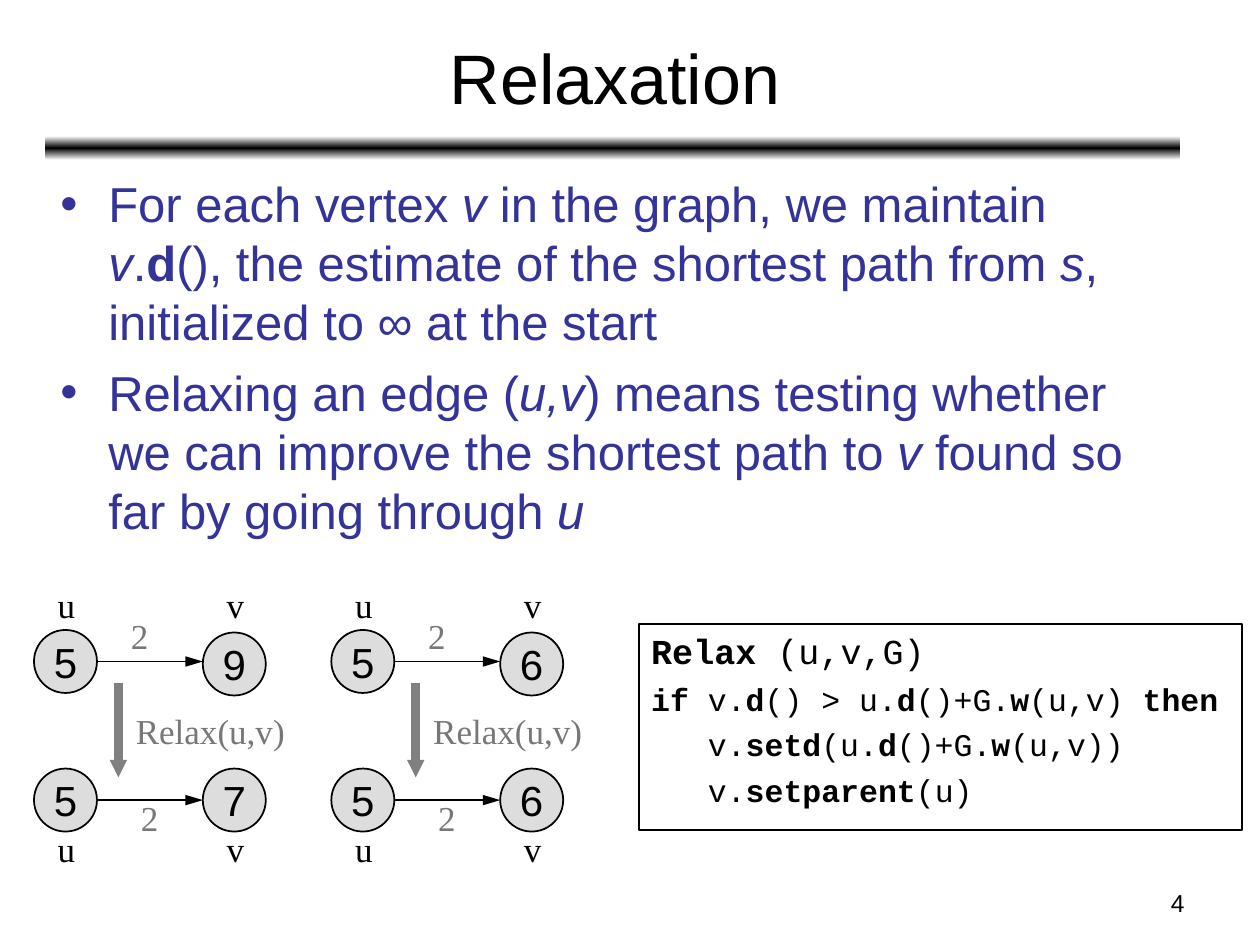
from lxml.etree import SubElement
from pptx import Presentation
from pptx.dml.color import RGBColor
from pptx.enum.shapes import MSO_CONNECTOR as Connector, MSO_SHAPE as Shape
from pptx.enum.text import MSO_ANCHOR as Anchor, MSO_AUTO_SIZE as AutoSize, PP_ALIGN as Align
from pptx.oxml.ns import qn
from pptx.util import Inches, Pt

BLACK, GREY, BLUE = "000000", "777777", "333399"
SANS, SERIF, MONO = "Arial", "Times New Roman", "Courier New"


def write(frame, lines, size, font, color, wrap=True, anchor=Anchor.TOP, **paragraph_format):
    """Fill a text frame; *marks* set italics and _marks_ set bold."""
    for name, value in {"word_wrap": wrap, "auto_size": AutoSize.NONE,
                        "vertical_anchor": anchor}.items():
        setattr(frame, name, value)
    for index, line in enumerate(lines):
        paragraph = frame.add_paragraph() if index else frame.paragraphs[0]
        for name, value in paragraph_format.items():
            setattr(paragraph, name, value)
        for i, part in enumerate(line.split("*")):
            for j, words in enumerate(part.split("_")):
                if words:
                    run = paragraph.add_run()
                    run.text = words
                    run.font.color.rgb = RGBColor.from_string(color)
                    for name, value in {"size": Pt(size), "name": font,
                                        "italic": i % 2 == 1, "bold": j % 2 == 1}.items():
                        setattr(run.font, name, value)


def add_arrow(start, end, color, width, head_width, head_length):
    arrow = slide.shapes.add_connector(Connector.STRAIGHT, *map(Inches, start + end))
    arrow.line.color.rgb = RGBColor.from_string(color)
    arrow.line.width = Pt(width)
    SubElement(arrow.line._get_or_add_ln(), qn("a:tailEnd"),
               type="triangle", w=head_width, len=head_length)
    SubElement(arrow._element.spPr, qn("a:effectLst"))


presentation = Presentation()
presentation.slide_width, presentation.slide_height = Inches(10), Inches(7.5)
slide = presentation.slides.add_slide(presentation.slide_layouts[1])
title, body = slide.placeholders

# Title, rule and bullets
for placeholder, top, height in ((title, 0.11, 0.99), (body, 1.33, 3.28)):
    for name, value in {"left": 0.38, "top": top, "width": 9, "height": height}.items():
        setattr(placeholder, name, Inches(value))
write(title.text_frame, ["Relaxation"], 40, SANS, BLACK, anchor=Anchor.MIDDLE,
      alignment=Align.CENTER)

rule = slide.shapes.add_shape(Shape.ROUNDED_RECTANGLE, *map(Inches, (0.36, 1.08, 9.01, 0.19)))
rule.shadow.inherit = False
rule.line.fill.background()
rule.fill.gradient()
rule.fill.gradient_angle = 90
stops = rule.fill._fill._gradFill.gsLst
stops.clear()
for position, color in ((0, "FFFFFF"), (50000, BLACK), (100000, "FFFFFF")):
    stop = SubElement(stops, qn("a:gs"), pos=str(position))
    SubElement(stop, qn("a:srgbClr"), val=color)

write(body.text_frame, [
    "For each vertex *v *in the graph, we maintain *v*._d_(), the estimate of the "
    "shortest path from *s*, initialized to ∞ at the start",
    "Relaxing an edge (*u,v*) means testing whether we can improve the shortest "
    "path to *v* found so far by going through *u*",
], 28, SANS, BLUE, space_before=Pt(7))
for paragraph in body.text_frame.paragraphs:
    properties = paragraph._p.get_or_add_pPr()
    properties.set("marL", str(Inches(0.38)))
    properties.set("indent", str(-Inches(0.38)))
    bullet_color = SubElement(properties, qn("a:buClr"))
    SubElement(bullet_color, qn("a:srgbClr"), val=BLUE)
    SubElement(properties, qn("a:buFont"), typeface=SANS)
    SubElement(properties, qn("a:buChar"), char="•")

# Two relaxation examples: vertices u and v, before (upper row) and after (lower row)
NODE, U_TO_V, EXAMPLE_STEP = 0.5, 1.34, 2.36
UPPER, LOWER = 5, 6.1
for example, (v_before, v_after) in enumerate((("9", "7"), ("6", "6"))):
    left = 0.27 + example * EXAMPLE_STEP
    right = left + U_TO_V
    for top in (UPPER, LOWER):
        middle = top + NODE / 2
        add_arrow((left + NODE, middle), (right, middle), BLACK, 1, "med", "lg")
    add_arrow((left + 0.67, 5.42), (left + 0.67, 6.17), "808080", 5, "sm", "sm")

    for x, y, value in ((left, UPPER, "5"), (right, UPPER + 0.02, v_before),
                        (left, LOWER, "5"), (right, LOWER, v_after)):
        node = slide.shapes.add_shape(Shape.OVAL, *map(Inches, (x, y, NODE, NODE)))
        node.shadow.inherit = False
        node.fill.solid()
        node.fill.fore_color.rgb = RGBColor.from_string("DDDDDD")
        node.line.color.rgb = RGBColor.from_string(BLACK)
        node.line.width = Pt(1)
        write(node.text_frame, [value], 24, SANS, BLACK, wrap=False,
              anchor=Anchor.MIDDLE, alignment=Align.CENTER)

    labels = [(x + 0.09, y, 0.33, name, BLACK)
              for y in (4.58, 6.52) for x, name in ((left, "u"), (right, "v"))]
    labels += [(left + 0.67, 4.83, 0.5, "2", GREY), (left + 0.75, 6.27, 0.33, "2", GREY),
               (left + 0.71, 5.58, 1.5, "Relax(u,v)", GREY)]
    for x, y, width, words, color in labels:
        label = slide.shapes.add_textbox(*map(Inches, (x, y, width, 0.44)))
        write(label.text_frame, [words], 20, SERIF, color)

# Pseudocode
code = slide.shapes.add_shape(Shape.RECTANGLE, *map(Inches, (5.07, 4.95, 4.79, 1.64)))
code.shadow.inherit = False
code.fill.background()
code.line.color.rgb = RGBColor.from_string(BLACK)
code.line.width = Pt(1)
write(code.text_frame, [
    "_Relax _(u,v,G)",
    "_if _v._d_() > u._d_()+G._w_(u,v) _then_",
    "v._setd_(u._d_()+G._w_(u,v))",
    "v._setparent_(u)",
], 18, MONO, BLACK, alignment=Align.LEFT, space_before=Pt(4.5))
heading, condition, *branch = code.text_frame.paragraphs
for run in heading.runs:
    run.font.size = Pt(20)
for paragraph in branch:
    paragraph._p.get_or_add_pPr().set("marL", str(Inches(0.45)))

page_number = slide.shapes.add_textbox(*map(Inches, (7.17, 7, 2.33, 0.35)))
write(page_number.text_frame, ["4"], 14, SANS, BLACK, alignment=Align.RIGHT)

presentation.save("out.pptx")
